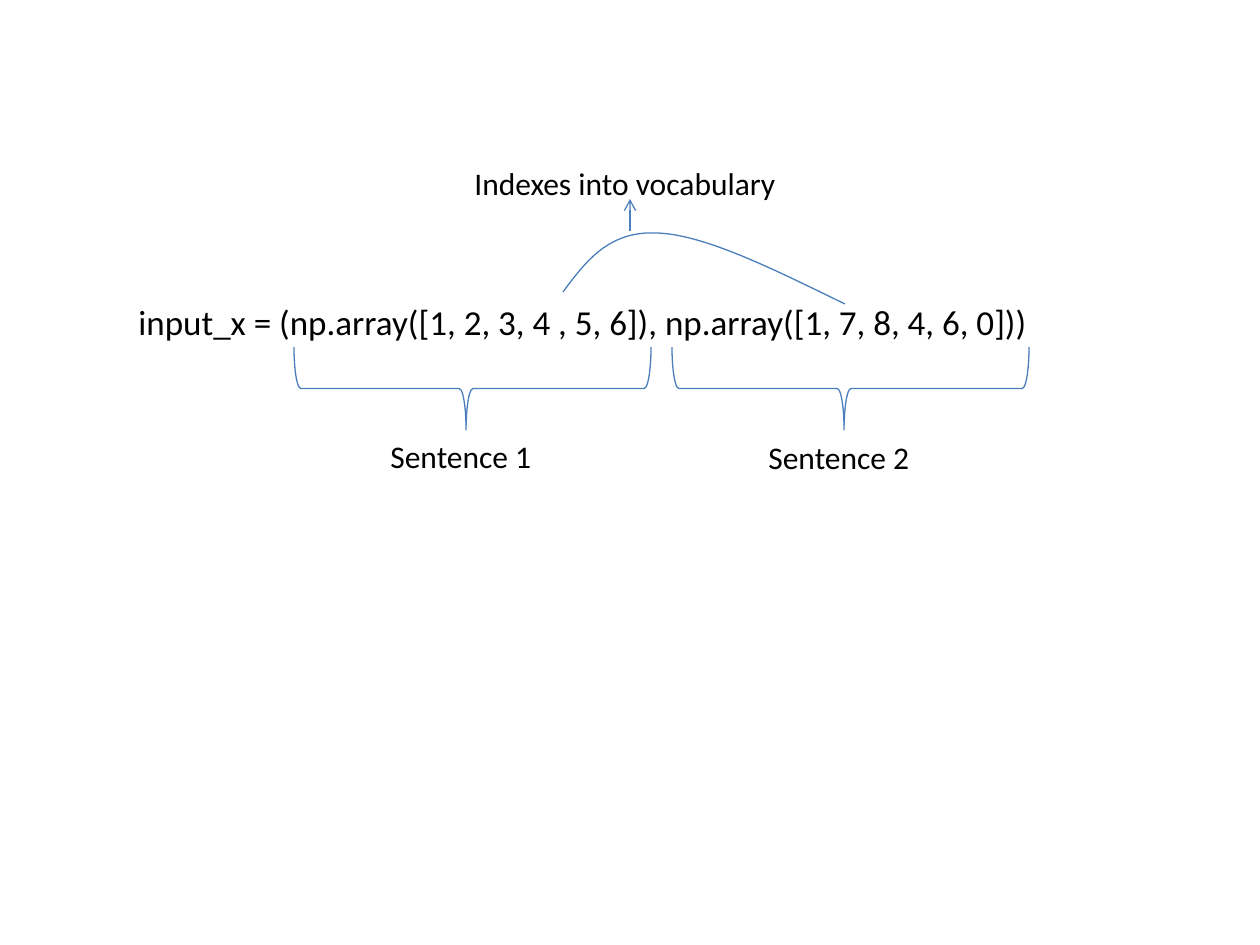
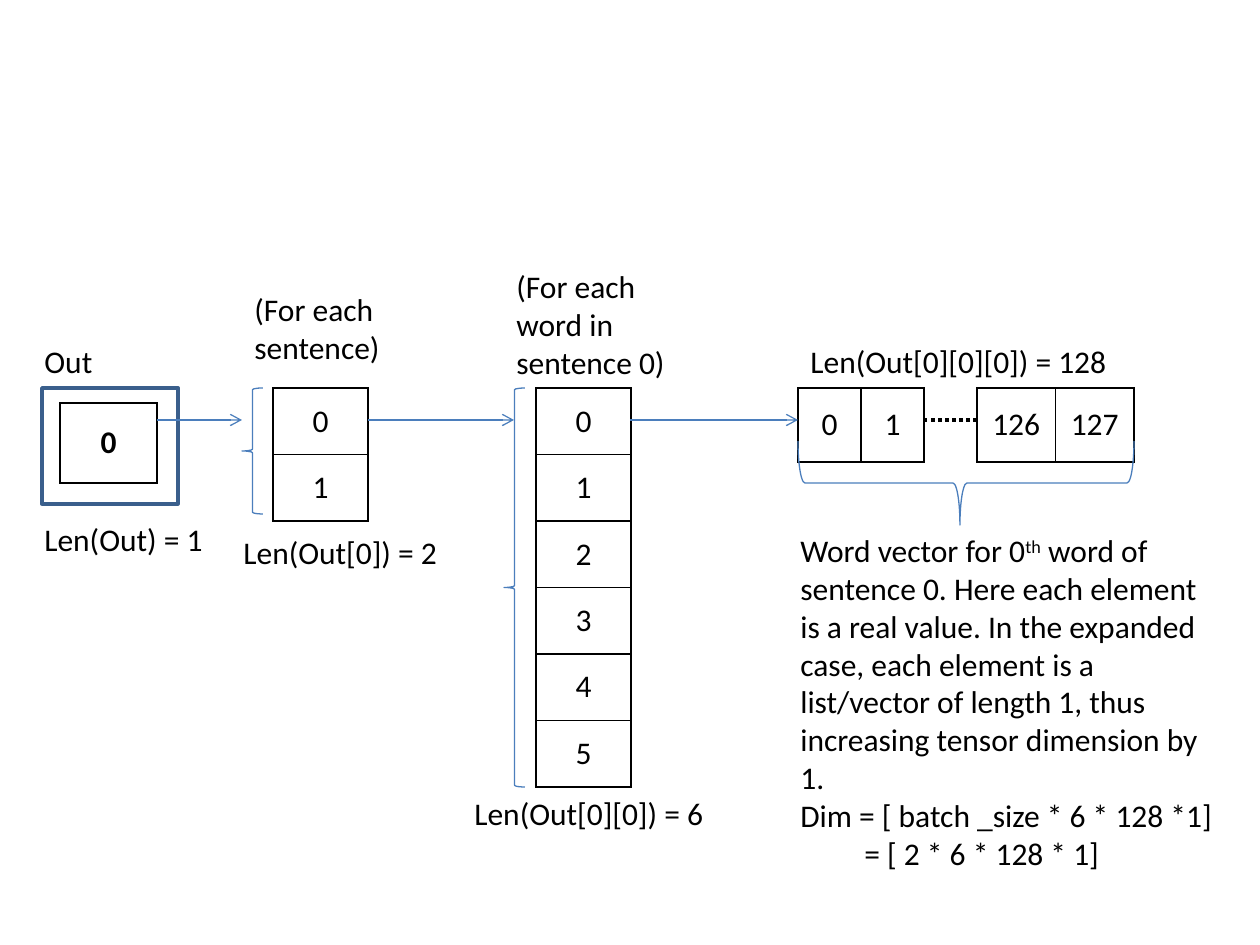
"""Build two slides on word indexes and the nested word vectors made from them."""
import lxml.etree
import pptx
import pptx.dml.color
import pptx.enum.dml
import pptx.enum.shapes
import pptx.enum.text
import pptx.oxml.ns
import pptx.util

PX = 914400 / 126
SLIDE_SIZE = (1260, 945)
FONT = "Calibri"
BLACK = pptx.dml.color.RGBColor(0x00, 0x00, 0x00)
BLUE = pptx.dml.color.RGBColor(0x4B, 0x7E, 0xBC)
DARK_BLUE = pptx.dml.color.RGBColor(0x3A, 0x5F, 0x8C)
THIN, CELL_BORDER, THICK = 0.75, 1, 2
BODY_SIZE, CODE_SIZE = 18, 20
SHAPES = pptx.enum.shapes.MSO_SHAPE

INPUT_CODE = ("input_x = (np.array([1, 2, 3, 4 , 5, 6]), np.array([1, 7, 8, 4, 6, 0]))", 126, 294, 1071)
INPUT_LABELS = [
    ("Sentence 1", 378, 431, 168),
    ("Sentence 2", 756, 432, 168),
    ("Indexes into vocabulary", 462, 158, 357),
]
SENTENCE_BRACES = [(294, 347, 357, 83), (672, 347, 357, 83)]
INDEX_CURVE = [
    [(563, 292), (586, 261), (609, 231), (656, 233)],
    [(656, 233), (704, 234), (775, 270), (845, 304)],
]
INDEX_ARROW = (630, 231, 630, 199)

OUT_FRAME = (42, 388, 136, 116)
VECTORS = [
    ([["0"]], 60, 403, 97, 80, True),
    ([["0"], ["1"]], 273, 388, 95, 133, False),
    ([[str(word)] for word in range(6)], 536, 388, 95, 399, False),
    ([["0", "1"]], 798, 388, 126, 74, False),
    ([["126", "127"]], 977, 388, 157, 74, False),
]
VECTOR_LABELS = [
    ("(For each sentence)", 242, 284, 158),
    ("(For each word in sentence 0)", 504, 261, 199),
    ("Len(Out) = 1", 32, 514, 199),
    ("Out", 32, 336, 84),
    ("Len(Out[0]) = 2", 231, 527, 221),
    ("Len(Out[0][0]) = 6", 462, 788, 273),
    ("Len(Out[0][0][0]) = 128", 798, 336, 336),
]
VECTOR_NOTE = (
    "Word vector for 0^th^ word of sentence 0. Here each element is a real value. "
    "In the expanded case, each element is a list/vector of length 1, "
    "thus increasing tensor dimension by 1.\n"
    "Dim = [ batch _size * 6 * 128 *1]\n"
    "= [ 2 * 6 * 128 * 1]", 788, 525, 441)
NOTE_INDENT = 64
LIST_BRACES = [(242, 388, 21, 126), (504, 388, 21, 399)]
VECTOR_BRACE = (798, 441, 336, 84)
FLOW_Y = 420
FLOW_ARROWS = [(157, 242), (368, 514), (630, 798)]
GAP_DOTS = (924, FLOW_Y, 977, FLOW_Y)


def px(*lengths):
    return [pptx.util.Emu(round(length * PX)) for length in lengths]


def style_run(run, size, bold=False):
    run.font.name, run.font.size = FONT, pptx.util.Pt(size)
    run.font.bold, run.font.color.rgb = bold, BLACK


def outline(shape, color, width):
    shape.line.color.rgb, shape.line.width = color, pptx.util.Pt(width)


def hollow(shape, color=BLUE, width=THIN):
    shape.shadow.inherit = False
    shape.fill.background()
    outline(shape, color, width)


def add_label(slide, text, left, top, width, size=BODY_SIZE):
    paragraphs = text.split("\n")
    frame = slide.shapes.add_textbox(*px(left, top, width, 50)).text_frame
    frame.word_wrap = True
    frame.auto_size = pptx.enum.text.MSO_AUTO_SIZE.SHAPE_TO_FIT_TEXT
    for index, content in enumerate(paragraphs):
        paragraph = frame.add_paragraph() if index else frame.paragraphs[0]
        for part, words in enumerate(content.split("^")):
            run = paragraph.add_run()
            run.text = words
            style_run(run, size)
            if part % 2:
                run.font._element.set("baseline", "30000")
    return frame


def add_line(slide, x1, y1, x2, y2, color=BLUE, width=THIN):
    line = slide.shapes.add_connector(
        pptx.enum.shapes.MSO_CONNECTOR.STRAIGHT, *px(x1, y1, x2, y2))
    outline(line, color, width)
    lxml.etree.SubElement(line._element.spPr, pptx.oxml.ns.qn("a:effectLst"))
    return line


def add_arrow(slide, *ends):
    line = add_line(slide, *ends).line._get_or_add_ln()
    lxml.etree.SubElement(line, pptx.oxml.ns.qn("a:tailEnd"), type="arrow")


def add_left_brace(slide, *box):
    brace = slide.shapes.add_shape(SHAPES.LEFT_BRACE, *px(*box))
    hollow(brace)
    return brace


def add_under_brace(slide, left, top, width, height):
    shift = (width - height) / 2
    brace = add_left_brace(slide, left + shift, top - shift, height, width)
    brace.rotation = 270
    brace.adjustments[0], brace.adjustments[1] = 0.083, 0.482


def add_curve(slide, segments, steps=24):
    points = [px(*segments[0][0])]
    for a, b, c, d in segments:
        for step in range(1, steps + 1):
            t = step / steps
            weights = ((1 - t) ** 3, 3 * t * (1 - t) ** 2, 3 * t * t * (1 - t), t ** 3)
            points.append(px(*(sum(w * p[axis] for w, p in zip(weights, (a, b, c, d)))
                               for axis in (0, 1))))
    builder = slide.shapes.build_freeform(*points[0])
    builder.add_line_segments(points[1:], close=False)
    hollow(builder.convert_to_shape())


def add_borders(cell):
    properties = cell._tc.get_or_add_tcPr()
    for side in ("lnL", "lnR", "lnT", "lnB"):
        border = lxml.etree.SubElement(properties, pptx.oxml.ns.qn(f"a:{side}"),
                                       w=str(pptx.util.Pt(CELL_BORDER)))
        fill = lxml.etree.SubElement(border, pptx.oxml.ns.qn("a:solidFill"))
        lxml.etree.SubElement(fill, pptx.oxml.ns.qn("a:srgbClr"), val=str(BLACK))


def add_vector(slide, rows, left, top, width, height, bold):
    grid = slide.shapes.add_table(
        len(rows), len(rows[0]), *px(left, top, width, height)).table
    grid.first_row = grid.horz_banding = False
    for cell, value in zip(grid.iter_cells(), sum(rows, [])):
        add_borders(cell)
        cell.fill.background()
        cell.vertical_anchor = pptx.enum.text.MSO_ANCHOR.MIDDLE
        cell.text_frame.text = value
        paragraph = cell.text_frame.paragraphs[0]
        paragraph.alignment = pptx.enum.text.PP_ALIGN.CENTER
        style_run(paragraph.runs[0], BODY_SIZE, bold)


def build_input_slide(slide):
    add_label(slide, *INPUT_CODE, size=CODE_SIZE)
    for label in INPUT_LABELS:
        add_label(slide, *label)
    for brace in SENTENCE_BRACES:
        add_under_brace(slide, *brace)
    add_curve(slide, INDEX_CURVE)
    add_arrow(slide, *INDEX_ARROW)


def build_output_slide(slide):
    hollow(slide.shapes.add_shape(SHAPES.RECTANGLE, *px(*OUT_FRAME)), DARK_BLUE, THICK)
    for vector in VECTORS:
        add_vector(slide, *vector)
    for label in VECTOR_LABELS:
        add_label(slide, *label)
    dots = add_line(slide, *GAP_DOTS, BLACK, THICK)
    dots.line.dash_style = pptx.enum.dml.MSO_LINE.ROUND_DOT
    for start, end in FLOW_ARROWS:
        add_arrow(slide, start, FLOW_Y, end, FLOW_Y)
    for brace in LIST_BRACES:
        add_left_brace(slide, *brace)
    add_under_brace(slide, *VECTOR_BRACE)
    note = add_label(slide, *VECTOR_NOTE)
    note.paragraphs[-1]._p.get_or_add_pPr().set("marL", str(px(NOTE_INDENT)[0]))


def main():
    deck = pptx.Presentation()
    deck.slide_width, deck.slide_height = px(*SLIDE_SIZE)
    for build in (build_input_slide, build_output_slide):
        build(deck.slides.add_slide(deck.slide_layouts[6]))
    deck.save("out.pptx")


if __name__ == "__main__":
    main()
